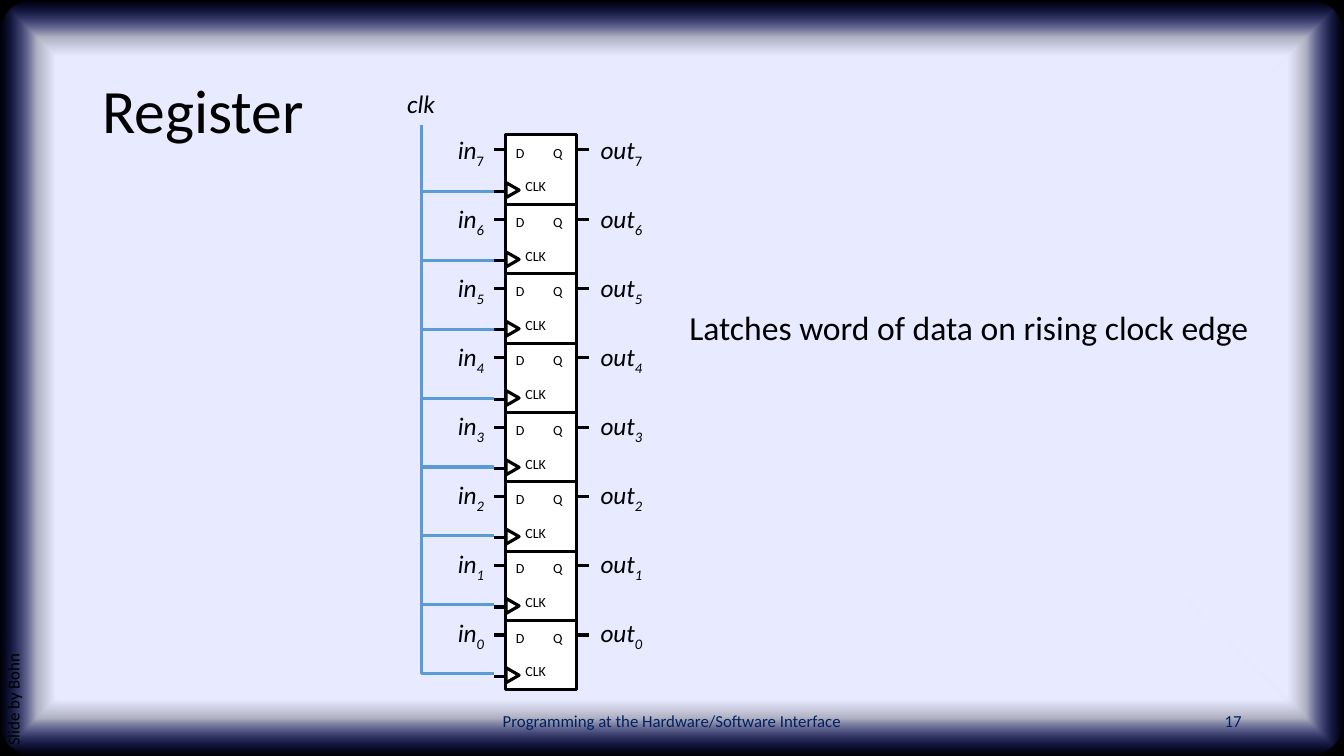
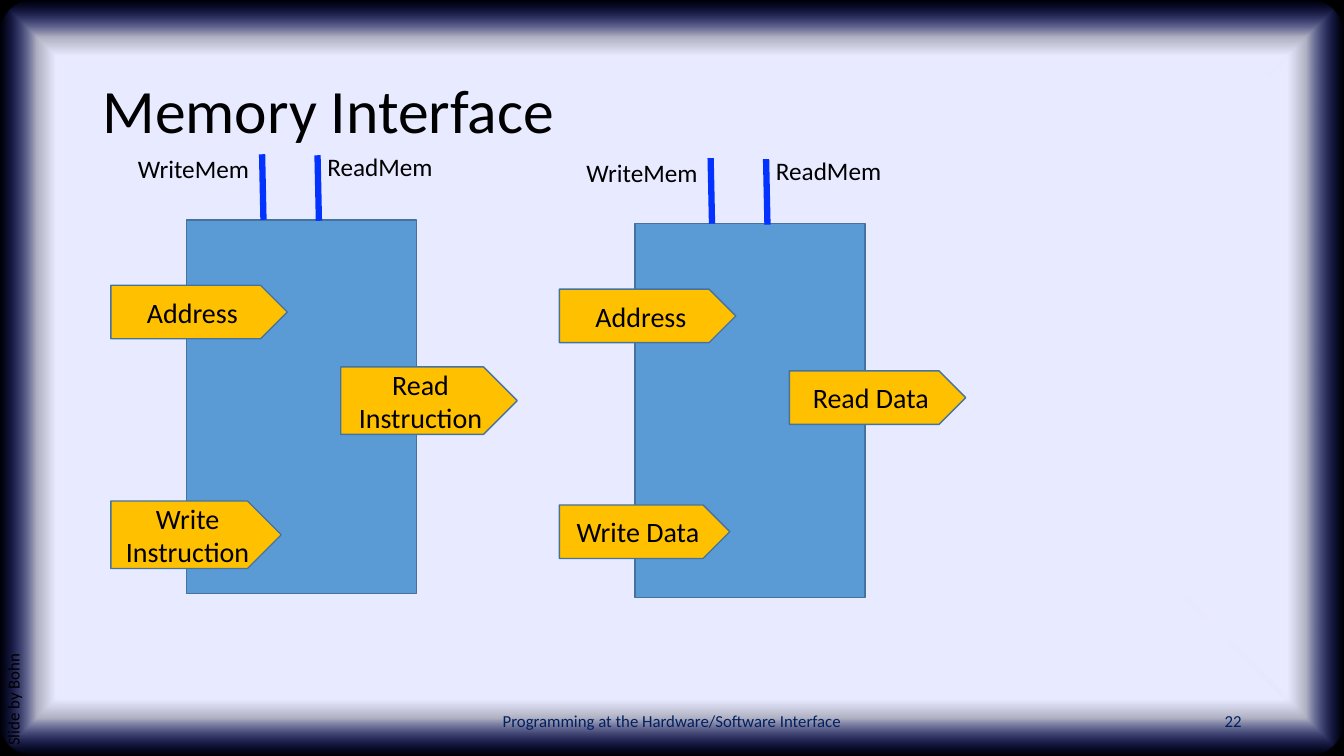
import pptx
import pptx.dml.color
import pptx.enum.shapes
import pptx.enum.text
import pptx.oxml
import pptx.oxml.ns
import pptx.util

Pt = pptx.util.Pt
qn = pptx.oxml.ns.qn
SHAPE = pptx.enum.shapes.MSO_SHAPE
CONNECTOR = pptx.enum.shapes.MSO_CONNECTOR
ALIGN = pptx.enum.text.PP_ALIGN
ANCHOR = pptx.enum.text.MSO_ANCHOR

COLORS = {
    "black": "000000", "white": "FFFFFF", "footer": "002060",
    "pale": "E8EAFF", "glow": "162AFF", "wire": "5B9BD5",
    "outline": "43739E", "port": "FFC000", "control": "0432FF",
}
FONT = "Calibri"
WIDTH, HEIGHT = 960, 540


def rgb(name):
    return pptx.dml.color.RGBColor.from_string(COLORS[name])


def write(para, text, size=18, color="black", italic=False, baseline=0,
          align=None, before=None, spacing=None):
    """Add one formatted span to a paragraph."""
    span = para.add_run()
    span.text = text
    span.font.name, span.font.size = FONT, Pt(size)
    span.font.italic = italic
    span.font.color.rgb = rgb(color)
    if baseline:
        span.font._element.set("baseline", str(baseline * 1000))
    if align is not None:
        para.alignment = align
    if before is not None:
        para.space_before = Pt(before)
    if spacing is not None:
        para.line_spacing = spacing


class SlideDeck:
    """The shared style and the current page."""

    def __init__(self):
        self.deck = pptx.Presentation()
        self.deck.slide_width, self.deck.slide_height = Pt(WIDTH), Pt(HEIGHT)
        self.layout = self.deck.slide_layouts[1]
        self.page = None

    def new_page(self, title, number):
        first = self.page is None
        self.page = self.deck.slides.add_slide(self.layout)
        if first:
            self.frame_layout()

        heading = self.page.shapes.title
        self.place(heading, 66, 28.8, 828, 104.4)
        heading.text_frame.vertical_anchor = ANCHOR.MIDDLE
        write(heading.text_frame.paragraphs[0], title, size=44,
              align=ALIGN.LEFT, spacing=0.9)

        credit = self.page.placeholders[1]
        self.place(credit, -175.7, 335.5, 380.2, 28.8)
        credit.rotation = 270
        para = credit.text_frame.paragraphs[0]
        write(para, "Slide by Bohn", size=12, before=10, spacing=0.9)
        properties = para._p.get_or_add_pPr()
        properties.set("marL", "0")
        properties.set("indent", "0")
        properties.append(properties.makeelement(qn("a:buNone"), {}))

        footer = dict(size=12, color="footer", anchor=ANCHOR.MIDDLE)
        self.label("Programming at the Hardware/Software Interface",
                   318, 500.5, 324, 28.8, align=ALIGN.CENTER, **footer)
        self.label(str(number), 678, 500.5, 216, 28.8,
                   align=ALIGN.RIGHT, **footer)

    def frame_layout(self):
        """Give the layout its black backdrop and glowing panel."""
        backdrop = self.block(SHAPE.RECTANGLE, 0, 0, WIDTH, HEIGHT, "black")
        panel = self.block(SHAPE.ROUNDED_RECTANGLE, 0, 0, WIDTH, HEIGHT, "pale")
        panel.adjustments[0] = 0.048
        stops = "".join(
            f'<a:gs pos="{position * 1000}"><a:srgbClr val="{COLORS[color]}">'
            f'<a:alpha val="{alpha * 1000}"/></a:srgbClr></a:gs>'
            for position, color, alpha in
            [(0, "pale", 100), (85, "pale", 100), (90, "pale", 75), (100, "glow", 0)])
        gradient = pptx.oxml.parse_xml(
            f'<a:gradFill {pptx.oxml.ns.nsdecls("a")} rotWithShape="1">'
            f'<a:gsLst>{stops}</a:gsLst><a:path path="shape">'
            '<a:fillToRect l="50000" t="50000" r="50000" b="50000"/>'
            '</a:path></a:gradFill>')
        solid = panel.element.spPr.find(qn("a:solidFill"))
        solid.getparent().replace(solid, gradient)
        for index, shape in enumerate((backdrop, panel)):
            self.layout.shapes.element.insert(2 + index, shape.element)

    @staticmethod
    def place(shape, left, top, width, height):
        shape.left, shape.top = Pt(left), Pt(top)
        shape.width, shape.height = Pt(width), Pt(height)

    def label(self, text, left, top, width, height=28.8, anchor=ANCHOR.TOP,
              wrap=True, subscript=None, upright=False, **style):
        box = self.page.shapes.add_textbox(Pt(left), Pt(top), Pt(width), Pt(height))
        box.text_frame.word_wrap = wrap
        box.text_frame.vertical_anchor = anchor
        para = box.text_frame.paragraphs[0]
        write(para, text, **style)
        if subscript is not None:
            write(para, subscript, italic=not upright, baseline=-25)

    def block(self, kind, left, top, width, height, fill,
              outline=None, weight=1, text=None):
        shape = self.page.shapes.add_shape(
            kind, Pt(left), Pt(top), Pt(width), Pt(height))
        shape.shadow.inherit = False
        shape.fill.solid()
        shape.fill.fore_color.rgb = rgb(fill)
        if outline:
            shape.line.color.rgb = rgb(outline)
            shape.line.width = Pt(weight)
        else:
            shape.line.fill.background()
        if text:
            write(shape.text_frame.paragraphs[0], text, size=20,
                  align=ALIGN.CENTER)
        return shape

    def line(self, x1, y1, x2, y2, color="black", weight=2.25,
             kind=CONNECTOR.STRAIGHT):
        line = self.page.shapes.add_connector(kind, Pt(x1), Pt(y1), Pt(x2), Pt(y2))
        line.line.color.rgb = rgb(color)
        line.line.width = Pt(weight)
        properties = line.element.spPr
        properties.append(properties.makeelement(qn("a:effectLst"), {}))
        return line

    def elbow(self, x1, y1, x2, y2, color):
        """A wire that runs down, then right."""
        wire = self.line(x1, y1, x2, y2, color, kind=CONNECTOR.ELBOW)
        across, down = x2 - x1, y2 - y1
        self.place(wire, (x1 + x2 - down) / 2, (y1 + y2 - across) / 2, down, across)
        properties = wire.element.spPr
        properties.find(qn("a:prstGeom")).set("prst", "bentConnector2")
        turn = properties.find(qn("a:xfrm"))
        turn.set("rot", "16200000")
        turn.set("flipH", "1")

    def flip_flop(self, top):
        """A D flip-flop with its pins and clock mark."""
        left = 361.4
        self.line(420.5, top + 11.3, 352.8, top + 11.3)
        self.line(388.8, top + 40.8, 352.8, top + 40.8)
        cell = self.block(SHAPE.RECTANGLE, left, top, 50.4, 50.4,
                          "white", "black", 2.25)
        frame = cell.text_frame
        frame.margin_right = 0
        pins, clock = frame.paragraphs[0], frame.add_paragraph()
        write(pins, "D\tQ", size=10, align=ALIGN.LEFT)
        write(clock, "CLK", size=10, align=ALIGN.LEFT, before=12.2)
        tabs = pptx.oxml.parse_xml(
            f'<a:tabLst {pptx.oxml.ns.nsdecls("a")}>'
            f'<a:tab pos="{Pt(26.6)}" algn="l"/></a:tabLst>')
        pins._p.get_or_add_pPr().append(tabs)
        clock._p.get_or_add_pPr().set("marL", str(Pt(6.8)))
        mark = self.block(SHAPE.ISOSCELES_TRIANGLE, 360.7, top + 35.3, 10.8, 9.4,
                          "white", "black", 2.25)
        mark.rotation = 90

    def memory(self, left, top, read, write_port, port_height):
        """A memory block with its ports and control lines."""
        self.block(SHAPE.RECTANGLE, left, top, 164.2, 267.1, "wire", "outline")
        ports = [("Address", -54, 46.8, 126, 38.2),
                 (read, 110.2, 105.1, 126, port_height),
                 (write_port, -54, 200.9, 121.7, port_height)]
        for text, dx, dy, width, height in ports:
            self.block(SHAPE.PENTAGON, left + dx, top + dy, width, height,
                       "port", "outline", text=text)
        controls = [("WriteMem", 54, -46.8, -41.8, -51.1, 95),
                    ("ReadMem", 93.6, -46.1, 93.6, -52.6, 90.7)]
        for text, dx, dy, label_dx, label_dy, width in controls:
            self.line(left + dx, top + dy, left + dx + 1, top + dy + 46.8,
                      "control", 4.5)
            self.label(text, left + label_dx, top + label_dy, width, wrap=False)


def register_page(show):
    show.new_page("Register", 17)
    bits = range(7, -1, -1)
    for row in reversed(range(len(bits))):
        show.flip_flop(95.8 + 49.5 * row)

    # Data labels
    for row, bit in enumerate(bits):
        top = 92.6 + 49.3 * row
        style = dict(italic=True, subscript=str(bit), upright=bit == 7)
        show.label("in", 318.2, top, 34.6, align=ALIGN.RIGHT, **style)
        show.label("out", 421.9, top, 48, **style)

    # Clock wiring
    show.label("clk", 283.7, 59.8, 34.6, italic=True, wrap=False)
    start = 89.3
    for row in range(len(bits)):
        end = 136.8 + 49.2 * row
        show.elbow(301, start, 352.8, end, "wire")
        start = end

    show.label("Latches word of data on rising clock edge", 485.3, 216, 417.6, 36,
               size=24, wrap=False)


def memory_page(show):
    show.new_page("Memory Interface", 22)
    show.memory(453.6, 159.8, "Read Data", "Write Data", 38.2)
    show.memory(133.2, 157, "Read Instruction", "Write Instruction", 48.2)


def main():
    show = SlideDeck()
    register_page(show)
    memory_page(show)
    show.deck.save("out.pptx")


if __name__ == "__main__":
    main()
